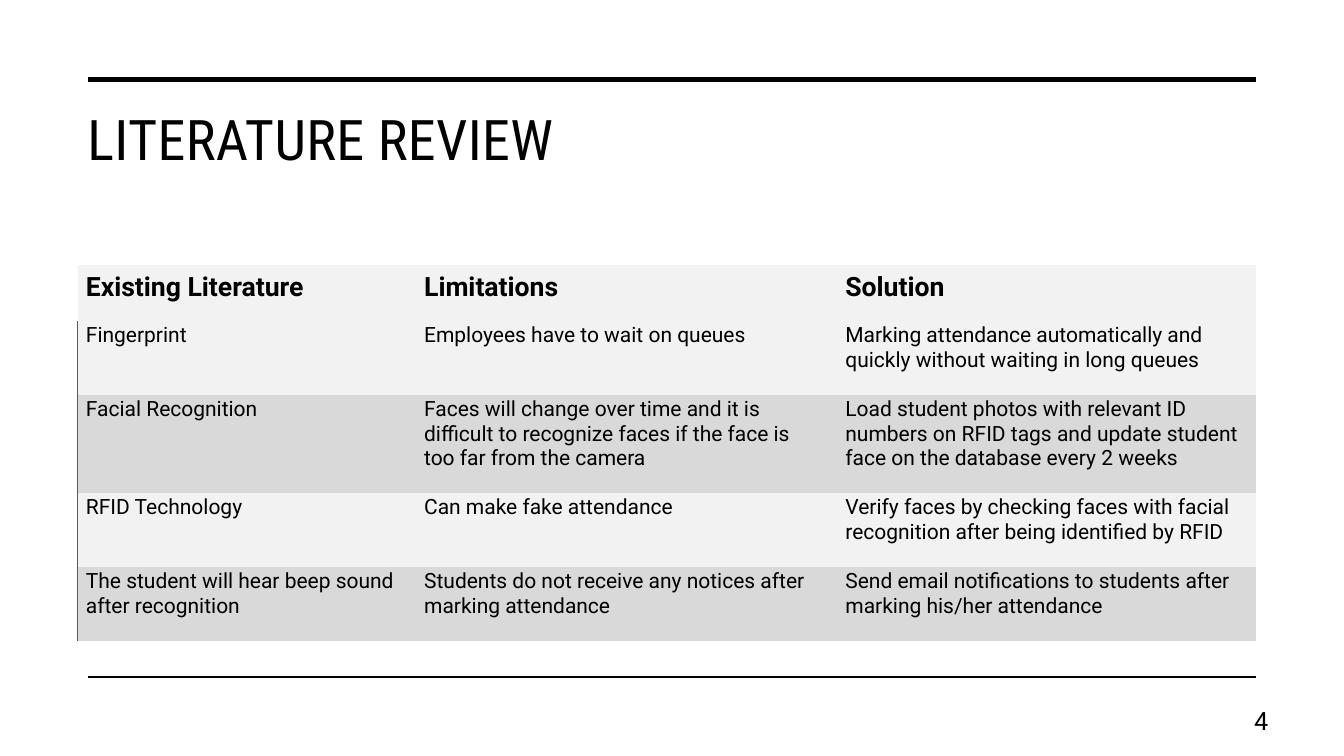
"""Build the literature review slide."""
import pptx
import pptx.dml.color
import pptx.enum.shapes
import pptx.enum.text
import pptx.oxml.ns
import pptx.util
from lxml import etree

Pt = pptx.util.Pt
ANCHOR = pptx.enum.text.MSO_ANCHOR
ALIGN = pptx.enum.text.PP_ALIGN

COLORS = {"ink": "000000", "light": "F2F2F2", "dark": "D9D9D9", "edge": "734B67"}
COLUMN_WIDTHS = [241.6, 300.9, 299.4]
ROW_HEIGHTS = [39.9, 52.9, 70.3, 52.9, 52.9]
REVIEW_ROWS = [
    ["Existing Literature", "Limitations", "Solution"],
    ["Fingerprint", "Employees have to wait on queues",
     "Marking attendance automatically and quickly without waiting in long queues"],
    ["Facial Recognition",
     "Faces will change over time and it is difficult to recognize faces "
     "if the face is too far from the camera",
     "Load student photos with relevant ID numbers on RFID tags and update "
     "student face on the database every 2 weeks"],
    ["RFID Technology", "Can make fake attendance",
     "Verify faces by checking faces with facial recognition after being identified by RFID"],
    ["The student will hear beep sound\nafter recognition",
     "Students do not receive any notices after marking attendance",
     "Send email notifications to students after marking his/her attendance"],
]


def rgb(name):
    """Return the named colour."""
    return pptx.dml.color.RGBColor.from_string(COLORS[name])


def style_text(frame, font_name, size, bold=False, align=ALIGN.LEFT):
    """Give every run of a text frame one look."""
    frame.word_wrap = True
    for para in frame.paragraphs:
        para.alignment = align
        for span in para.runs:
            span.font.name = font_name
            span.font.size = Pt(size)
            span.font.bold = bold
            span.font.color.rgb = rgb("ink")


def add_text(page, box, text, font_name, size, anchor, align=ALIGN.LEFT):
    """Place a text box and return its frame."""
    frame = page.shapes.add_textbox(*map(Pt, box)).text_frame
    frame.text = text
    frame.vertical_anchor = anchor
    style_text(frame, font_name, size, align=align)
    return frame


def add_title(page, box):
    """Place the slightly letterspaced title."""
    frame = add_text(page, box, "LITERATURE REVIEW", "Roboto Condensed", 40, ANCHOR.TOP)
    frame.paragraphs[0].runs[0].font._element.set("spc", "30")


def add_rule(page, left, top, width, weight):
    """Draw a horizontal rule."""
    rule = page.shapes.add_connector(
        pptx.enum.shapes.MSO_CONNECTOR.STRAIGHT,
        Pt(left), Pt(top), Pt(left + width), Pt(top))
    rule.line.color.rgb = rgb("ink")
    rule.line.width = Pt(weight)
    etree.SubElement(rule._element.spPr, pptx.oxml.ns.qn("a:effectLst"))


def set_borders(cell, left_edge):
    """Clear the cell borders, keeping a left edge if asked."""
    qn = pptx.oxml.ns.qn
    properties = cell._tc.get_or_add_tcPr()
    for position, side in enumerate(["a:lnL", "a:lnR", "a:lnT", "a:lnB"]):
        border = etree.Element(qn(side), w=str(Pt(1)))
        if left_edge and side == "a:lnL":
            fill = etree.SubElement(border, qn("a:solidFill"))
            etree.SubElement(fill, qn("a:srgbClr"), val=COLORS["edge"])
        else:
            etree.SubElement(border, qn("a:noFill"))
        properties.insert(position, border)


def fill_cell(cell, text, row, column):
    """Write and format one table cell."""
    header = row == 0
    cell.text_frame.text = text
    cell.margin_left, cell.margin_top = Pt(6), Pt(1.5)
    cell.margin_right, cell.margin_bottom = Pt(8.5), Pt(13)
    cell.vertical_anchor = ANCHOR.BOTTOM if header else ANCHOR.TOP
    style_text(cell.text_frame, "Roboto", 19 if header else 15, bold=header)
    cell.fill.solid()
    cell.fill.fore_color.rgb = rgb("dark" if row and row % 2 == 0 else "light")
    set_borders(cell, left_edge=column == 0 and not header)


def add_review_table(page, left, top):
    """Place the table of literature, limitations and solutions."""
    table = page.shapes.add_table(
        len(ROW_HEIGHTS), len(COLUMN_WIDTHS), Pt(left), Pt(top),
        Pt(sum(COLUMN_WIDTHS)), Pt(sum(ROW_HEIGHTS))).table
    table.first_row = table.horz_banding = False
    for column, width in zip(table.columns, COLUMN_WIDTHS):
        column.width = Pt(width)
    for row, height in zip(table.rows, ROW_HEIGHTS):
        row.height = Pt(height)
    for row, texts in enumerate(REVIEW_ROWS):
        for column, text in enumerate(texts):
            fill_cell(table.cell(row, column), text, row, column)


def build_review_page(page, left, width):
    """Lay out the slide within its left margin and width."""
    rule_inset = 7.6
    add_title(page, (left, 71.3, width, 90.7))
    for top, weight in [(56.7, 3.5), (483.6, 1)]:
        add_rule(page, left + rule_inset, top, width - rule_inset, weight)
    add_review_table(page, left, 189.3)
    add_text(page, (left + width - 37.6, 500.5, 53.3, 28.8), "4",
             "Roboto", 18, ANCHOR.MIDDLE, ALIGN.RIGHT)


def main():
    """Create and save the deck."""
    deck = pptx.Presentation()
    deck.slide_width, deck.slide_height = Pt(960), Pt(540)
    page = deck.slides.add_slide(deck.slide_layouts[6])
    build_review_page(page, 55.4, 841.9)
    deck.save("out.pptx")


if __name__ == "__main__":
    main()
